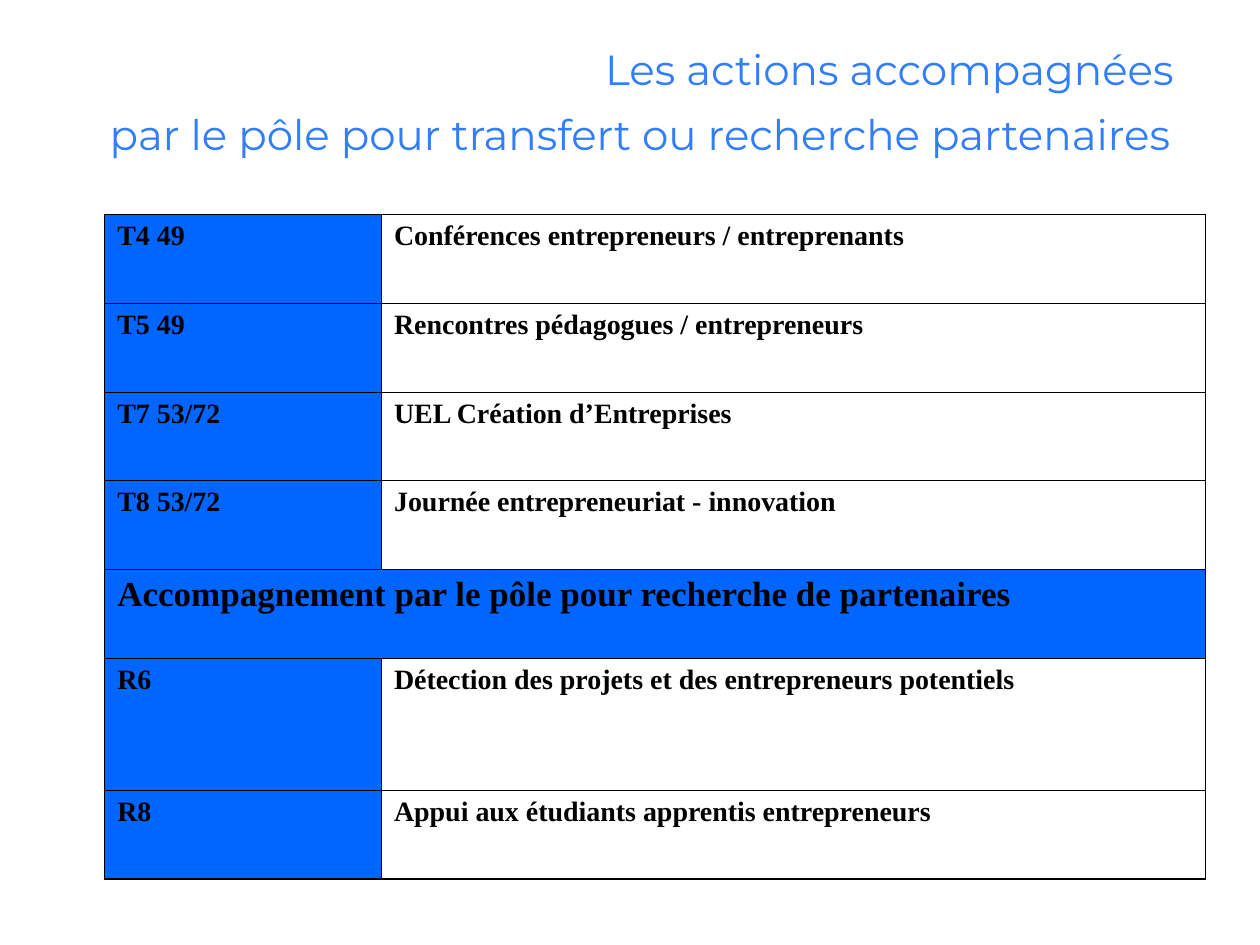
from pptx import Presentation
from pptx.dml.color import RGBColor
from pptx.enum.text import MSO_ANCHOR as Anchor, PP_ALIGN as Align
from pptx.oxml.ns import qn
from pptx.util import Pt
from lxml.etree import SubElement as Sub

BLUE, BLACK, SKY = "0066FF", "000000", "327DF8"
THIN, THICK = 0.45, 0.96
BAND = "Accompagnement par le pôle pour recherche de partenaires"

# Code, action, row height; a row without an action spans both columns
ROWS = [
    ("T4 49", "Conférences entrepreneurs / entreprenants", 50.7),
    ("T5 49", "Rencontres pédagogues / entrepreneurs", 50.7),
    ("T7 53/72", "UEL Création d’Entreprises", 50.7),
    ("T8 53/72", "Journée entrepreneuriat - innovation", 50.7),
    (BAND, None, 50.7),
    ("R6", "Détection des projets et des entrepreneurs potentiels", 75.6),
    ("R8", "Appui aux étudiants apprentis entrepreneurs", 50.7),
]


def color(code):
    return RGBColor.from_string(code)


def add_run(para, text, size, face, code, bold=False):
    run = para.add_run()
    run.text = text
    font = run.font
    font.size, font.name, font.bold = Pt(size), face, bold
    font.color.rgb = color(code)


def add_title(slide, left, top, width, height):
    box = slide.shapes.add_textbox(Pt(left), Pt(top), Pt(width), Pt(height))
    frame = box.text_frame
    frame.word_wrap = True
    frame.vertical_anchor = Anchor.TOP
    para = frame.paragraphs[0]
    para.alignment = Align.RIGHT
    add_run(para, "Les actions accompagnées ", 24, "Montserrat", SKY)
    para.add_line_break()
    add_run(para, "par le pôle pour transfert ou recherche partenaires",
            24, "Montserrat", SKY)
    # The larger closing space sets the height of the second line
    add_run(para, " ", 32, "Montserrat", SKY)


def set_edges(cell, **edges):
    props = cell._tc.get_or_add_tcPr()
    for pos, side in enumerate("LRTB"):
        line = props.makeelement(qn("a:ln" + side),
                                 {"w": str(Pt(edges.get(side, THIN)))})
        fill = Sub(line, qn("a:solidFill"))
        Sub(fill, qn("a:srgbClr"), val=BLACK)
        props.insert(pos, line)


def fill_cell(cell, text, size, back):
    if back:
        cell.fill.solid()
        cell.fill.fore_color.rgb = color(back)
    else:
        cell.fill.background()
    para = cell.text_frame.paragraphs[0]
    props = para._p.get_or_add_pPr()
    props.set("marL", str(Pt(27)))
    props.set("indent", str(Pt(-27)))
    if text:
        add_run(para, text, size, "Times New Roman", BLACK, True)


def add_actions(slide, left, top, width, code_width):
    total = sum(row[2] for row in ROWS)
    table = slide.shapes.add_table(len(ROWS), 2, Pt(left), Pt(top),
                                   Pt(width), Pt(total)).table
    table.first_row = table.horz_banding = False
    table.columns[0].width = Pt(code_width)
    table.columns[1].width = Pt(width - code_width)
    for num, (code, action, height) in enumerate(ROWS):
        table.rows[num].height = Pt(height)
        head, body = table.cell(num, 0), table.cell(num, 1)
        wide = action is None
        if wide:
            head.merge(body)
        fill_cell(head, code, 20 if wide else 16, BLUE)
        fill_cell(body, action, 16, BLUE if wide else None)
        # Heavier lines around the outside, except at the top
        base = THICK if num == len(ROWS) - 1 else THIN
        set_edges(head, L=THICK, R=THICK if wide else THIN, B=base)
        set_edges(body, R=THICK, B=base)


def main():
    deck = Presentation()
    deck.slide_width, deck.slide_height = Pt(720), Pt(540)
    slide = deck.slides.add_slide(deck.slide_layouts[6])
    add_actions(slide, 59.8, 122.6, 629.2, 158.2)
    add_title(slide, 36, 21.6, 648, 129.6)
    deck.save("out.pptx")


if __name__ == "__main__":
    main()
